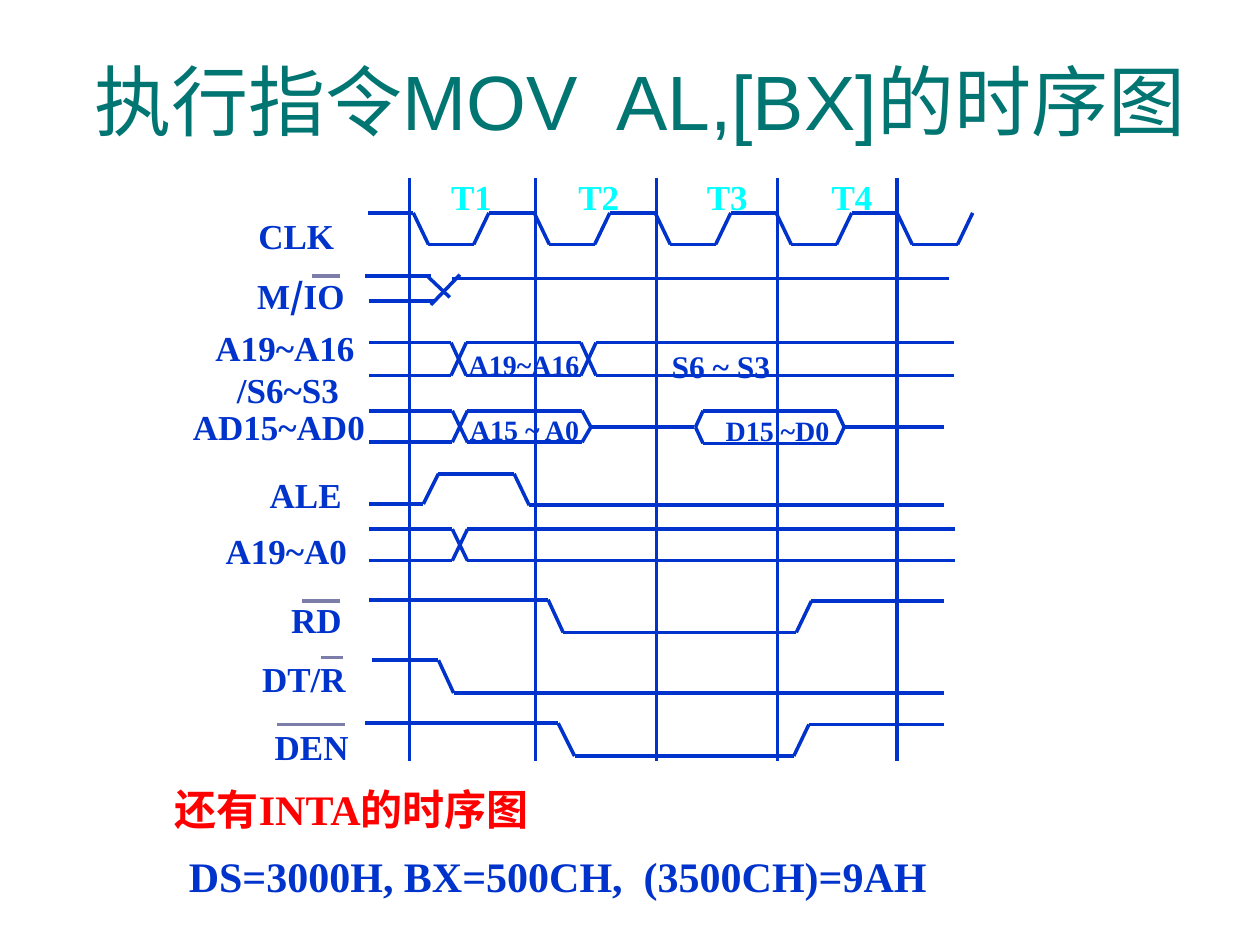
from itertools import pairwise

from lxml.etree import SubElement
from pptx import Presentation
from pptx.dml.color import RGBColor
from pptx.enum.shapes import MSO_CONNECTOR
from pptx.enum.text import MSO_ANCHOR, MSO_AUTO_SIZE, PP_ALIGN
from pptx.oxml.ns import qn
from pptx.util import Pt

PX = 9144  # 100 px to the inch
BLUE = RGBColor(0x00, 0x33, 0xCC)
CYAN = RGBColor(0x00, 0xFF, 0xFF)
RED = RGBColor(0xFF, 0x00, 0x00)
TEAL = RGBColor(0x00, 0x75, 0x72)
MAUVE = RGBColor(0x7D, 0x7D, 0xA9)

presentation = Presentation()
presentation.slide_width, presentation.slide_height = 1000 * PX, 750 * PX
slide = presentation.slides.add_slide(presentation.slide_layouts[5])


def add_trace(points, color=BLUE):
    """Join the points with straight lines, one for each step."""
    for (x1, y1), (x2, y2) in pairwise(points):
        line = slide.shapes.add_connector(
            MSO_CONNECTOR.STRAIGHT, x1 * PX, y1 * PX, x2 * PX, y2 * PX)
        line.line.color.rgb = color
        line.line.width = Pt(2)
        SubElement(line._element.spPr, qn("a:effectLst"))


def add_label(text, left, top, width, height, size=20, color=BLUE, inset=0):
    box = slide.shapes.add_textbox(left * PX, top * PX, width * PX, height * PX)
    frame = box.text_frame
    frame.word_wrap = True
    frame.margin_left = frame.margin_right = inset * PX
    frame.margin_top = frame.margin_bottom = inset // 2 * PX
    frame.text = text
    for paragraph in frame.paragraphs:
        paragraph.font.name = "Times New Roman"
        paragraph.font.size = Pt(size)
        paragraph.font.bold = True
        paragraph.font.color.rgb = color
    return frame


# Title
title = slide.shapes.title
title.left, title.top, title.width, title.height = 51 * PX, 36 * PX, 914 * PX, 87 * PX
frame = title.text_frame
frame.text = "执行指令MOV  AL,[BX]的时序图"
frame.auto_size = MSO_AUTO_SIZE.NONE
frame.vertical_anchor = MSO_ANCHOR.MIDDLE
frame.margin_left = frame.margin_right = frame.margin_top = frame.margin_bottom = 0
paragraph = frame.paragraphs[0]
paragraph.alignment = PP_ALIGN.CENTER
paragraph.font.name = "Arial"
paragraph.font.size = Pt(44)
paragraph.font.color.rgb = TEAL

# Clock state boundaries and names
for x in (325, 425, 521, 617, 712):
    add_trace([(x, 141), (x, 604)])
for number, x in enumerate((358, 459, 561, 660), start=1):
    add_label(f"T{number}", x, 139, 34, 39, color=CYAN)

# CLK: one low pulse every 96 px
clock = [(292, 169)]
for x in range(328, 713, 96):
    clock += [(x, 169), (x + 12, 194), (x + 48, 194), (x + 60, 169)]
add_trace(clock)

# M/IO
add_trace([(290, 219), (342, 219)])
add_trace([(293, 239), (345, 239)])
add_trace([(342, 242), (365, 218)])
add_trace([(339, 219), (357, 236)])
add_trace([(359, 221), (753, 221)])

# Buses with crossings: high level, low level, right end, crossing positions
for high, low, end, crossings in (
    (272, 298, 757, (358, 461)),  # A19~A16/S6~S3
    (420, 445, 758, (359,)),      # A19~A0
    (326, 351, 462, (359,)),      # AD15~AD0, address phase
):
    upper, lower = [(293, high)], [(293, low)]
    for x in crossings:
        upper += [(x, upper[-1][1]), (x + 12, high + low - upper[-1][1])]
        lower += [(x, lower[-1][1]), (x + 12, high + low - lower[-1][1])]
    add_trace(upper + [(end, upper[-1][1])])
    add_trace(lower + [(end, lower[-1][1])])

# AD15~AD0: floating bus, then the data phase
add_trace([(462, 326), (469, 339), (462, 351)])
add_trace([(469, 339), (551, 339)])
for level in (326, 352):
    add_trace([(552, 339), (558, level), (664, level), (670, 339)])
add_trace([(670, 339), (749, 339)])

# ALE, RD, DT/R and DEN
add_trace([(293, 400), (336, 400), (348, 376), (408, 376), (420, 401), (749, 401)])
add_trace([(293, 476), (435, 476), (447, 502), (632, 502), (644, 477), (749, 477)])
add_trace([(295, 524), (348, 524), (360, 550), (749, 550)])
add_trace([(290, 574), (443, 574), (456, 600), (630, 600), (642, 575), (749, 575)])

# Signal names
for name, left, top, width, height in (
    ("CLK", 205, 170, 77, 32),
    ("AD15~AD0", 153, 322, 138, 28),
    ("ALE", 214, 376, 78, 34),
    ("A19~A0", 179, 420, 107, 27),
    ("RD", 231, 475, 58, 34),
    ("DT/R", 208, 522, 77, 41),
    ("DEN", 218, 576, 66, 26),
):
    add_label(name, left, top, width, height)
status = add_label("A19~A16\n/S6~S3", 171, 259, 115, 49)
status.paragraphs[1].alignment = PP_ALIGN.CENTER
memory_io = add_label("M", 204, 218, 79, 32).paragraphs[0]
slash = memory_io.add_run()
slash.text = "/"
slash.font.name = "Noto Sans CJK SC"
memory_io.add_run().text = "IO"

# Bars over active-low names
for x1, x2, y in ((248, 270, 219), (240, 270, 477), (255, 272, 522), (220, 274, 575)):
    add_trace([(x1, y), (x2, y)], MAUVE)

# Bus contents
add_label("A19~A16", 372, 276, 95, 22, 16)
add_label("S6 ~ S3", 533, 275, 88, 22, 18)
add_label("A15 ~ A0", 373, 327, 101, 22, 16)
add_label("D15 ~D0", 576, 328, 90, 22, 16)

# Closing remarks
for text, left, top, color in (
    ("还有INTA的时序图", 129, 605, RED),
    ("DS=3000H, BX=500CH,  (3500CH)=9AH", 140, 658, BLUE),
):
    remark = add_label(text, left, top, 684, 62, 24, color, inset=10)
    remark.paragraphs[0].line_spacing = 1.3

presentation.save("out.pptx")
